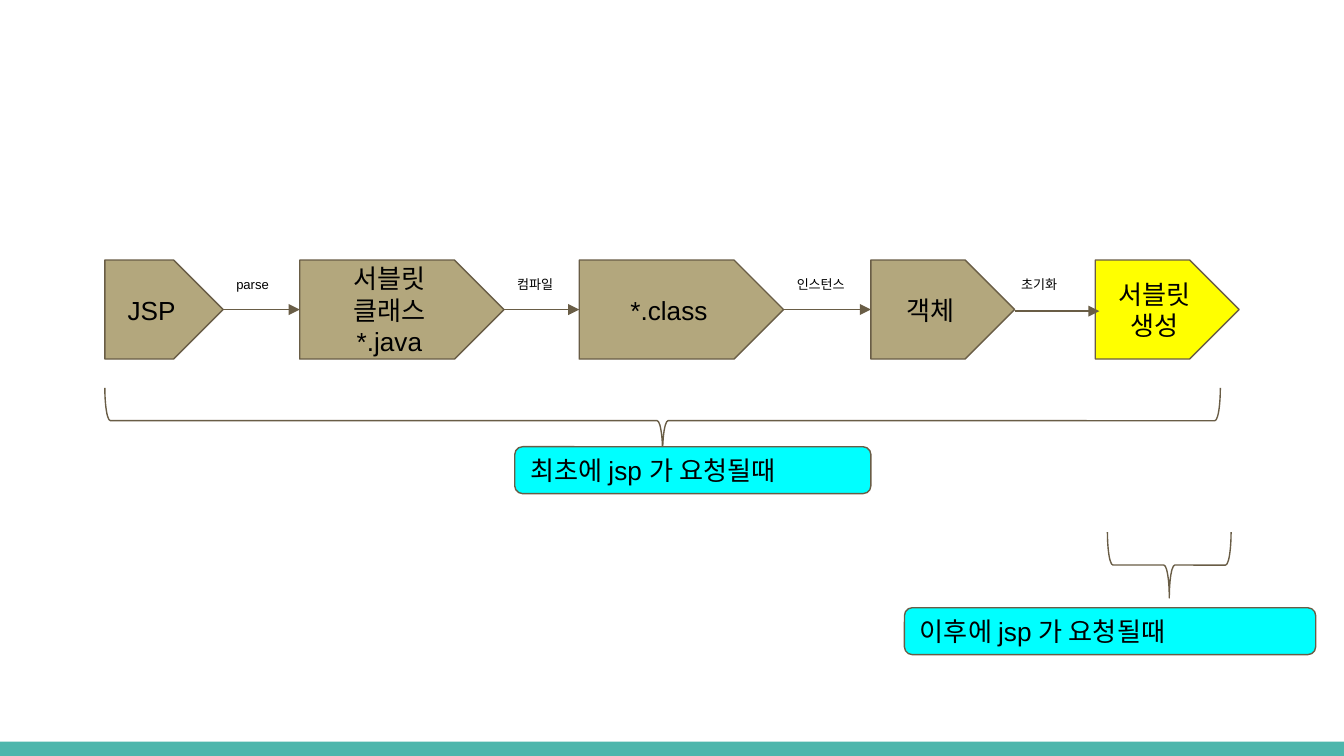
from lxml import etree
from pptx import Presentation
from pptx.dml.color import RGBColor
from pptx.enum.shapes import MSO_CONNECTOR, MSO_SHAPE
from pptx.enum.text import MSO_ANCHOR, PP_ALIGN
from pptx.oxml.ns import qn
from pptx.util import Inches, Pt

PENTAGON, BRACE = MSO_SHAPE.PENTAGON, MSO_SHAPE.RIGHT_BRACE
ROUNDED, RECTANGLE = MSO_SHAPE.ROUNDED_RECTANGLE, MSO_SHAPE.RECTANGLE
STRAIGHT = MSO_CONNECTOR.STRAIGHT
TOP, MIDDLE = MSO_ANCHOR.TOP, MSO_ANCHOR.MIDDLE
LEFT, CENTER = PP_ALIGN.LEFT, PP_ALIGN.CENTER

TAN = RGBColor(0xB3, 0xA7, 0x7D)
BROWN = RGBColor(0x69, 0x5D, 0x46)
YELLOW = RGBColor(0xFF, 0xFF, 0x00)
CYAN = RGBColor(0x00, 0xFF, 0xFF)
TEAL = RGBColor(0x4D, 0xB6, 0xAC)
BLACK = RGBColor(0x00, 0x00, 0x00)

WIDTH, HEIGHT = Inches(10), Inches(5.625)
COL, ROW = WIDTH / 100, HEIGHT / 100  # the grid has 100 columns and 100 rows

# text, width in columns, fill
STAGES = [
    ("JSP", 8.8, TAN),
    ("서블릿\v클래스\n*.java", 15.2, TAN),
    ("*.class", 15.2, TAN),
    ("객체", 10.7, TAN),
    ("서블릿\n생성", 10.7, YELLOW),
]
# text, gap to the next stage, label start, arrow overshoot, arrow drop
LINKS = [
    ("parse", 5.7, 0, 0, 0),
    ("컴파일", 5.6, 0, 0, 0),
    ("인스턴스", 6.5, 0, 0, 0),
    ("초기화", 6, -0.5, 0.3, 0.2),
]


def grid(*box):
    """Turn columns and rows into lengths."""
    return [round(n * unit) for n, unit in zip(box, (COL, ROW, COL, ROW))]


def write(shape, text, size=14, align=LEFT, anchor=MIDDLE):
    frame = shape.text_frame
    frame.word_wrap = True
    frame.vertical_anchor = anchor
    frame.margin_left = frame.margin_right = Inches(0.1)
    frame.margin_top = frame.margin_bottom = Inches(0.1)
    frame.text = text
    for paragraph in frame.paragraphs:
        paragraph.alignment = align
        for run in paragraph.runs:
            run.font.name = "Arial"
            run.font.size = Pt(size)
            run.font.color.rgb = BLACK


def add_block(slide, kind, box, fill=None, line=BROWN):
    block = slide.shapes.add_shape(kind, *grid(*box))
    block.shadow.inherit = False
    if fill is None:
        block.fill.background()
    else:
        block.fill.solid()
        block.fill.fore_color.rgb = fill
    if line is None:
        block.line.fill.background()
    else:
        block.line.color.rgb = line
        block.line.width = Pt(0.75)
    return block


def add_arrow(slide, start, end, y):
    arrow = slide.shapes.add_connector(STRAIGHT, *grid(start, y, end, y))
    arrow.line.color.rgb = BROWN
    arrow.line.width = Pt(0.75)
    line = arrow.line._get_or_add_ln()
    etree.SubElement(line, qn("a:tailEnd"), type="triangle")
    etree.SubElement(arrow._element.spPr, qn("a:effectLst"))


def add_flow(slide, x, y, height):
    """Place the stages from left to right, with a labelled arrow in each gap."""
    gaps = [link[1] for link in LINKS] + [0]
    ends = []
    for (text, width, fill), gap in zip(STAGES, gaps):
        stage = add_block(slide, PENTAGON, (x, y, width, height), fill)
        write(stage, text, align=CENTER)
        ends.append(x + width)
        x += width + gap
    for start, (text, gap, shift, overshoot, drop) in zip(ends, LINKS):
        add_arrow(slide, start, start + gap + overshoot, y + height / 2 + drop)
        label = slide.shapes.add_textbox(
            *grid(start + shift, y + 1.1, gap - shift, 4.1))
        write(label, text, size=7, anchor=TOP)


def add_span(slide, x, y, width, height):
    """Place a brace that opens upwards and fills the box."""
    tall, wide = width * COL / ROW, height * ROW / COL
    brace = add_block(slide, BRACE, (x + (width - wide) / 2,
                                     y + (height - tall) / 2, wide, tall))
    brace.rotation = 90


def add_request(slide, span, box, text):
    add_span(slide, *span)
    write(add_block(slide, ROUNDED, box, CYAN), text)


def main():
    deck = Presentation()
    deck.slide_width, deck.slide_height = WIDTH, HEIGHT
    slide = deck.slides.add_slide(deck.slide_layouts[6])
    add_block(slide, RECTANGLE, (0, 98.1, 100, 1.9), TEAL, line=None)
    add_flow(slide, 7.8, 34.4, 13.1)
    add_request(slide, (7.8, 51.3, 83, 8.7), (38.3, 59.1, 26.5, 6.2),
                "최초에 jsp 가 요청될때")
    add_request(slide, (82.4, 70.4, 9.2, 8.7), (67.3, 80.4, 30.6, 6.2),
                "이후에 jsp 가 요청될때")
    deck.save("out.pptx")


if __name__ == "__main__":
    main()
